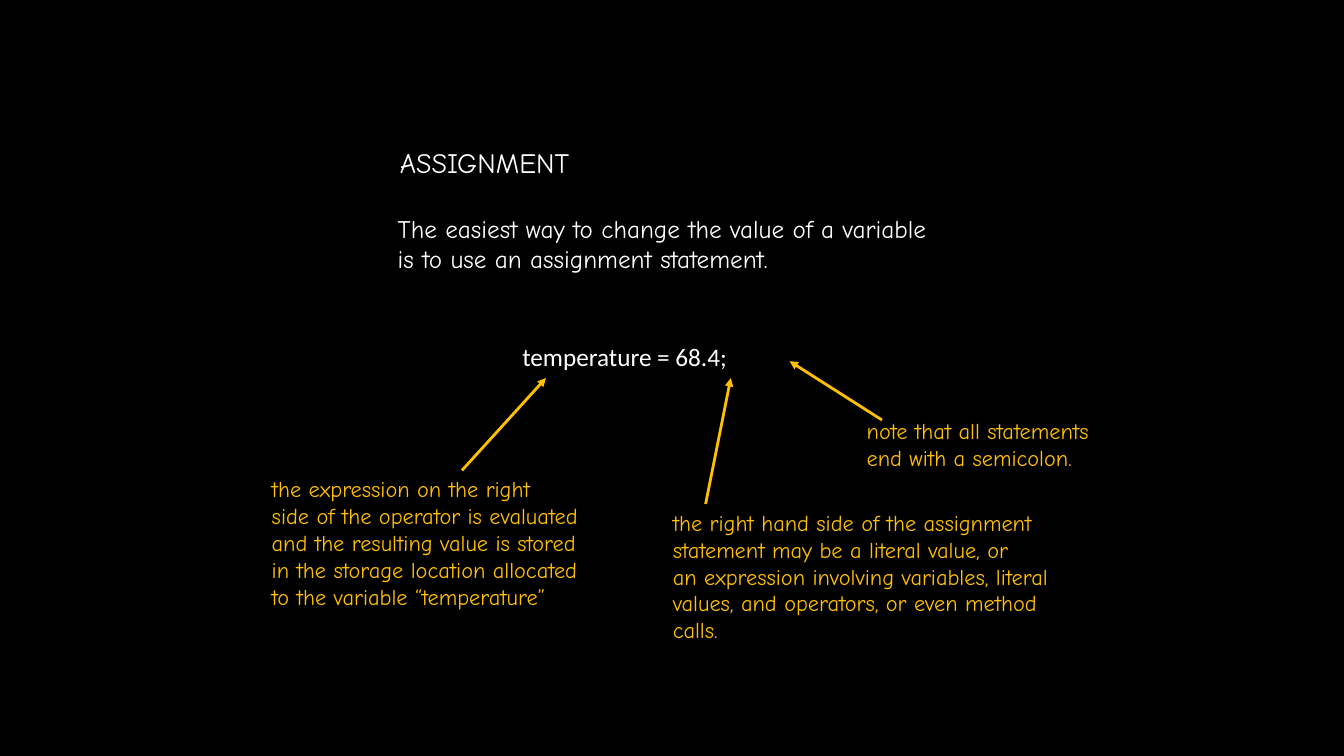
"""Builds a slide that explains the assignment statement."""
import dataclasses

import pptx
import pptx.dml.color
import pptx.enum.shapes
import pptx.enum.text
import pptx.oxml
import pptx.oxml.ns
import pptx.slide
import pptx.util

Pt = pptx.util.Pt
RGB = pptx.dml.color.RGBColor
Anchor = pptx.enum.text.MSO_ANCHOR


@dataclasses.dataclass(frozen=True)
class Theme:
    back: RGB = RGB(0, 0, 0)
    text: RGB = RGB(255, 255, 255)
    note: RGB = RGB(255, 192, 0)
    hand: str = "Comic Neue"
    code: str = "Calibri"
    head: int = 20
    body: int = 18
    small: int = 16
    line: int = 2


THEME = Theme()


@dataclasses.dataclass(frozen=True)
class Label:
    left: float
    top: float
    width: float
    height: float
    lines: tuple[str, ...]
    size: int = THEME.small
    color: RGB = THEME.note
    font: str = THEME.hand
    anchor: Anchor = Anchor.TOP
    wrap: bool = False


@dataclasses.dataclass(frozen=True)
class Arrow:
    start: tuple[float, float]
    end: tuple[float, float]


LABELS = (
    Label(278.5, 87, 192, 57.6, ("ASSIGNMENT",), THEME.head, THEME.text,
          anchor=Anchor.MIDDLE, wrap=True),
    Label(277, 149, 431, 51, (
        "The easiest way to change the value of a variable",
        "is to use an assignment statement.",
    ), THEME.body, THEME.text),
    Label(366, 240, 163, 29, ("temperature = 68.4;",),
          THEME.body, THEME.text, THEME.code),
    Label(612, 294.5, 196, 46, (
        "note that all statements",
        "end with a semicolon.",
    )),
    Label(473.5, 360, 310, 104, (
        "the right hand side of the assignment",
        "statement may be a literal value, or",
        "an expression involving variables, literal",
        "values, and operators, or even method",
        "calls.",
    )),
    Label(187, 336, 259, 104, (
        "the expression on the right",
        "side of the operator is evaluated",
        "and the resulting value is stored",
        "in the storage location allocated",
        "to the variable “temperature”",
    )),
)

ARROWS = (
    Arrow((630, 300), (564, 258)),
    Arrow((504, 360), (522, 270)),
    Arrow((330, 336), (390, 270)),
)


def write(slide: pptx.slide.Slide, label: Label) -> None:
    box = slide.shapes.add_textbox(
        Pt(label.left), Pt(label.top), Pt(label.width), Pt(label.height))
    frame = box.text_frame
    frame.word_wrap = label.wrap
    frame.vertical_anchor = label.anchor
    if not label.wrap:
        frame.auto_size = pptx.enum.text.MSO_AUTO_SIZE.SHAPE_TO_FIT_TEXT
    frame.text = "\n".join(label.lines)
    for para in frame.paragraphs:
        para.font.name = label.font
        para.font.size = Pt(label.size)
        para.font.color.rgb = label.color


def point(slide: pptx.slide.Slide, arrow: Arrow) -> None:
    line = slide.shapes.add_connector(
        pptx.enum.shapes.MSO_CONNECTOR.STRAIGHT,
        *map(Pt, arrow.start + arrow.end))
    line.line.color.rgb = THEME.note
    line.line.width = Pt(THEME.line)
    props = line._element.spPr
    stroke = props.find(pptx.oxml.ns.qn("a:ln"))
    tip = pptx.oxml.parse_xml(
        f'<a:tailEnd {pptx.oxml.ns.nsdecls("a")} type="triangle"/>')
    stroke.append(tip)
    props.append(pptx.oxml.parse_xml(
        f'<a:effectLst {pptx.oxml.ns.nsdecls("a")}/>'))


def main() -> None:
    deck = pptx.Presentation()
    deck.slide_width, deck.slide_height = Pt(960), Pt(540)
    slide = deck.slides.add_slide(deck.slide_layouts[6])
    fill = slide.background.fill
    fill.solid()
    fill.fore_color.rgb = THEME.back
    for label in LABELS:
        write(slide, label)
    for arrow in ARROWS:
        point(slide, arrow)
    deck.save("out.pptx")


if __name__ == "__main__":
    main()
